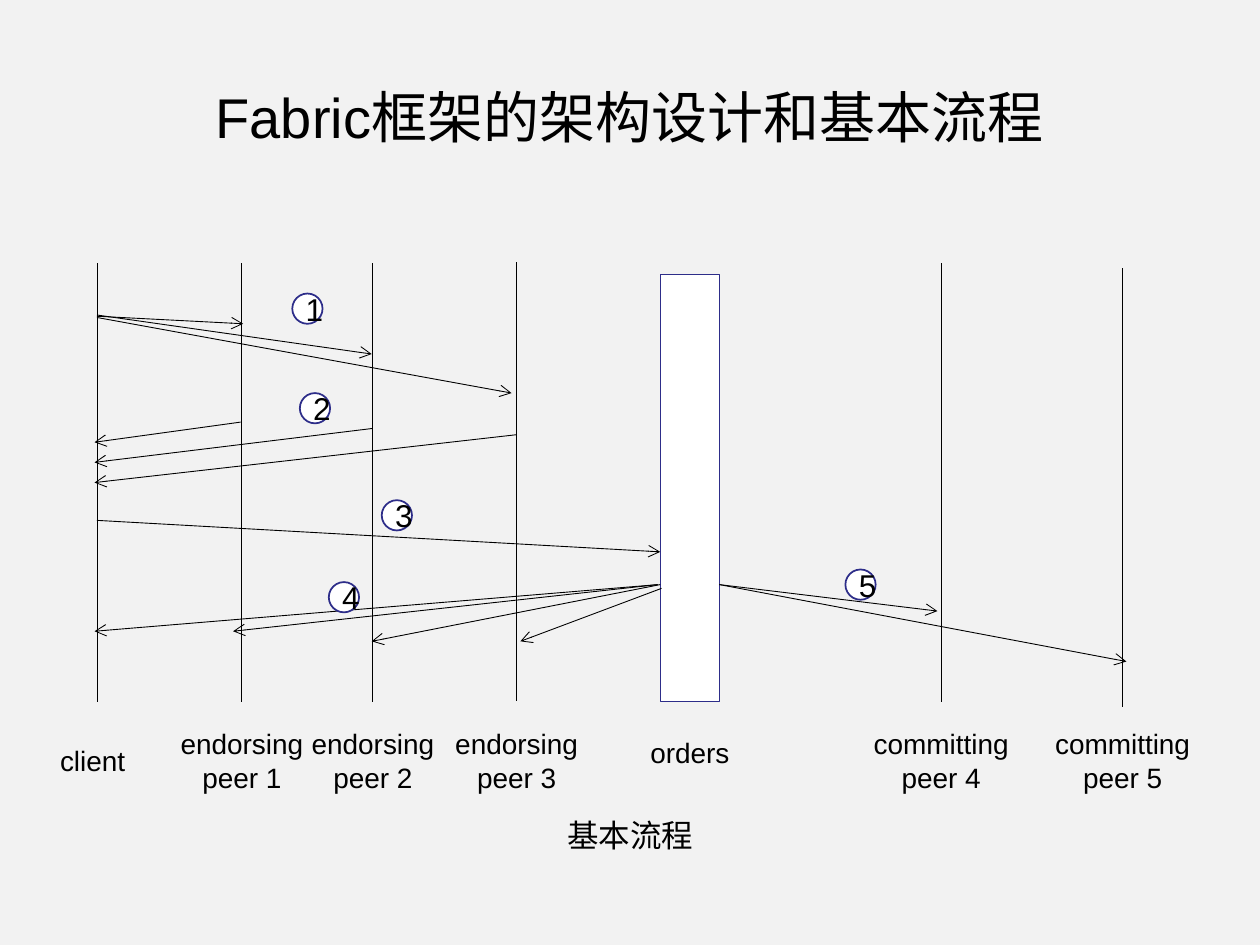
import pptx
import pptx.dml.color
import pptx.enum.shapes
import pptx.enum.text
import pptx.oxml.ns
import pptx.util
from lxml import etree

RGB = pptx.dml.color.RGBColor
BLACK = RGB(0x00, 0x00, 0x00)
WHITE = RGB(0xFF, 0xFF, 0xFF)
GREY = RGB(0xF2, 0xF2, 0xF2)
NAVY = RGB(0x2D, 0x2D, 0x89)
SHAPE = pptx.enum.shapes.MSO_SHAPE
ANCHOR = pptx.enum.text.MSO_ANCHOR
FIT = pptx.enum.text.MSO_AUTO_SIZE.SHAPE_TO_FIT_TEXT
FONT = "Arial"

COLS, ROWS = 100, 75
CLIENT, PEER1, PEER2, PEER3, ORDERS, PEER4, PEER5 = 7.7, 19.2, 29.6, 41, 54.75, 74.7, 89.1
SPAN = 34.8
LEFT, RIGHT = 52.4, 57.1
BACK = 7.5
SENT = 46.4
DOT = 2.4

LIVES = [(CLIENT, 20.9), (PEER1, 20.9), (PEER2, 20.9), (PEER3, 20.8), (PEER4, 20.9), (PEER5, 21.3)]
LABELS = [
    (7.35, 58.5, 7.5, "client"),
    (PEER1, 57.2, 11.8, "endorsing\npeer 1"),
    (PEER2, 57.2, 11.8, "endorsing\npeer 2"),
    (PEER3, 57.2, 11.8, "endorsing\npeer 3"),
    (ORDERS, 57.9, 8.5, "orders"),
    (PEER4, 57.2, 12.8, "committing\npeer 4"),
    (PEER5, 57.2, 12.8, "committing\npeer 5"),
]
CALLS = [
    (CLIENT, 25.1, 19.3, 25.7), (CLIENT, 25.2, 40.6, 31.2), (CLIENT, 25, 29.5, 28.1),
    (19.1, 33.5, BACK, 35.1), (PEER2, 34, BACK, 36.7), (PEER3, 34.5, BACK, 38.3),
    (CLIENT, 41.3, LEFT, 43.8),
    (52.2, SENT, BACK, 50.1), (52.2, SENT, 18.5, 50.1),
    (LEFT, SENT, 29.5, 50.9), (52.5, 46.7, 41.3, 50.9),
    (RIGHT, SENT, 74.4, 48.5), (RIGHT, SENT, 89.4, 52.5),
]
STEPS = [(23.2, 23.3), (23.8, 31.2), (30.3, 39.7), (26.1, 46.2), (67.1, 45.2)]


def cell(n):
    return pptx.util.Inches(n / 10)


def write(frame, text, size):
    frame.text = text
    for para in frame.paragraphs:
        para.alignment = pptx.enum.text.PP_ALIGN.CENTER
        para.font.name = FONT
        para.font.size = pptx.util.Pt(size)
        para.font.color.rgb = BLACK


def label(slide, mid, top, wide, text, size=16):
    lines = text.count("\n") + 1
    tall = 1 + lines * size / 6
    box = slide.shapes.add_textbox(*map(cell, (mid - wide / 2, top, wide, tall)))
    frame = box.text_frame
    frame.word_wrap = False
    frame.auto_size = FIT
    write(frame, text, size)


def title(slide, text):
    box = slide.shapes.add_textbox(*map(cell, (5, 3, COLS - 10, 12.5)))
    frame = box.text_frame
    frame.word_wrap = True
    frame.vertical_anchor = ANCHOR.MIDDLE
    write(frame, text, 32)


def line(slide, *ends, arrow=False):
    link = slide.shapes.add_connector(
        pptx.enum.shapes.MSO_CONNECTOR.STRAIGHT, *map(cell, ends))
    link.line.color.rgb = BLACK
    link.line.width = pptx.util.Pt(0.5)
    qn = pptx.oxml.ns.qn
    if arrow:
        etree.SubElement(link.line._get_or_add_ln(), qn("a:tailEnd"), type="arrow")
    etree.SubElement(link._element.spPr, qn("a:effectLst"))


def block(slide, kind, weight, *place):
    shape = slide.shapes.add_shape(kind, *map(cell, place))
    shape.shadow.inherit = False
    shape.fill.solid()
    shape.fill.fore_color.rgb = WHITE
    shape.line.color.rgb = NAVY
    shape.line.width = pptx.util.Pt(weight)
    return shape


def step(slide, num, left, top):
    frame = block(slide, SHAPE.OVAL, 1, left, top, DOT, DOT).text_frame
    frame.vertical_anchor = ANCHOR.MIDDLE
    write(frame, str(num), 18)


def main():
    deck = pptx.Presentation()
    deck.slide_width, deck.slide_height = cell(COLS), cell(ROWS)
    slide = deck.slides.add_slide(deck.slide_layouts[6])
    back = slide.background.fill
    back.solid()
    back.fore_color.rgb = GREY

    title(slide, "Fabric框架的架构设计和基本流程")
    for col, top in LIVES:
        line(slide, col, top, col, top + SPAN)
    block(slide, SHAPE.RECTANGLE, 0.75, LEFT, 21.8, RIGHT - LEFT, 33.9)
    for item in LABELS:
        label(slide, *item)
    for ends in CALLS:
        line(slide, *ends, arrow=True)
    for num, spot in enumerate(STEPS, 1):
        step(slide, num, *spot)
    label(slide, COLS / 2, 64.3, 12.2, "基本流程", 18)
    deck.save("out.pptx")


if __name__ == "__main__":
    main()
